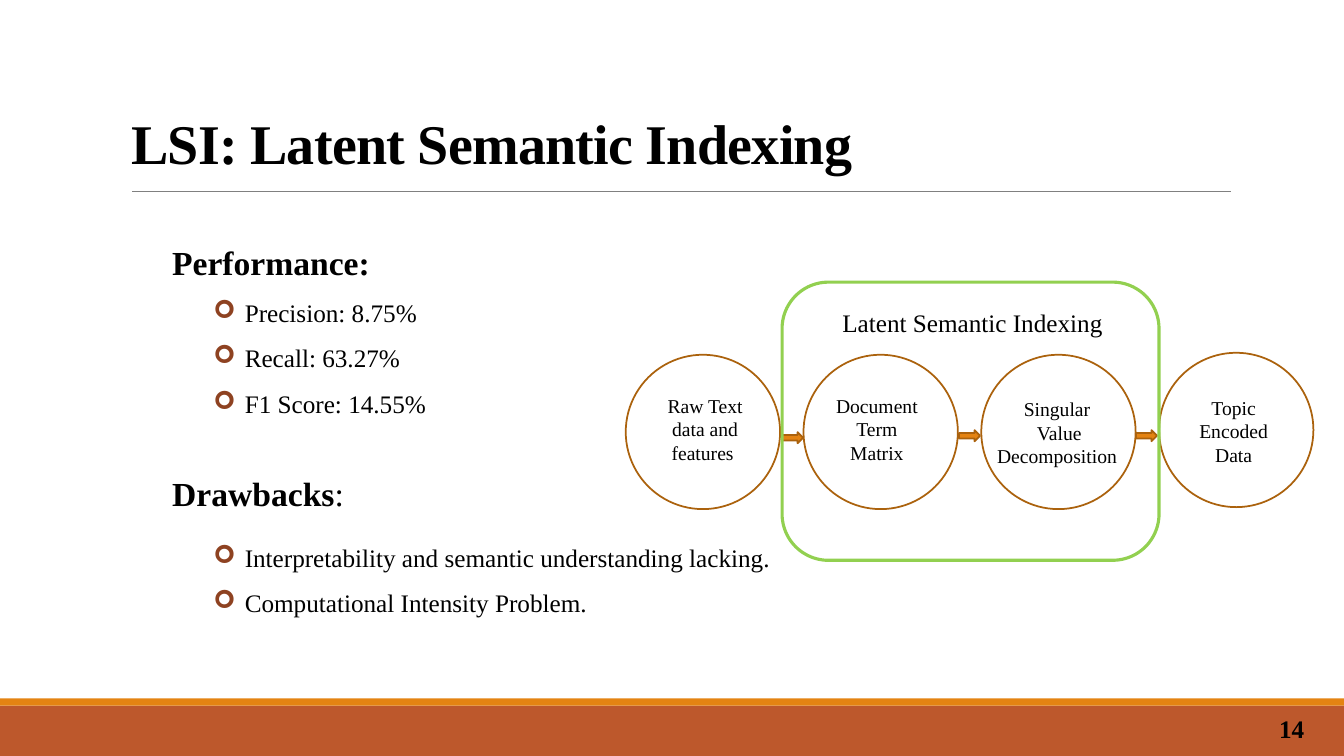
import pptx
import pptx.dml.color
import pptx.enum.shapes
import pptx.enum.text
import pptx.oxml
import pptx.oxml.ns
import pptx.util

Cm = pptx.util.Cm
Pt = pptx.util.Pt
RGBColor = pptx.dml.color.RGBColor
SHAPE = pptx.enum.shapes.MSO_SHAPE
ALIGN = pptx.enum.text.PP_ALIGN
ANCHOR = pptx.enum.text.MSO_ANCHOR

BLACK = RGBColor(0x00, 0x00, 0x00)
RUST = RGBColor(0xBD, 0x58, 0x2C)
ORANGE = RGBColor(0xE4, 0x83, 0x12)
BROWN = RGBColor(0xAB, 0x62, 0x0D)
GREEN = RGBColor(0x92, 0xD0, 0x50)
GREY = RGBColor(0x80, 0x80, 0x80)
BULLET_HEX = "8E4221"
FONT = "Times New Roman"

STEPS = [
    ("Raw Text data and features ", 0.58, 2.69, 2.84),
    ("Document Term Matrix", 0.43, 2.69, 2.84),
    ("Singular\n Value Decomposition", 0.03, 2.77, 3.76),
    ("Topic Encoded Data", 0.46, 2.74, 2.84),
]
SCORES = ["Precision: 8.75%", "Recall: 63.27%", "F1 Score: 14.55%"]
DRAWBACKS = [
    "Interpretability and semantic understanding lacking.",
    "Computational Intensity Problem.",
]


def style_text(frame, size, bold=False, align=ALIGN.LEFT):
    """Give every run in the frame the same font, size and alignment."""
    frame.word_wrap = True
    for paragraph in frame.paragraphs:
        paragraph.alignment = align
        for run in paragraph.runs:
            run.font.name = FONT
            run.font.size = Pt(size)
            run.font.bold = bold
            run.font.color.rgb = BLACK


def add_text(slide, text, left, top, width, height, size, bold=False, align=ALIGN.LEFT):
    """Add a text box, lengths in centimetres, and return its frame."""
    frame = slide.shapes.add_textbox(Cm(left), Cm(top), Cm(width), Cm(height)).text_frame
    frame.text = text
    style_text(frame, size, bold, align)
    return frame


def add_figure(slide, kind, left, top, width, height, fill=None, line=None, weight=1.25):
    """Add a preset shape with an optional fill and outline."""
    figure = slide.shapes.add_shape(kind, Cm(left), Cm(top), Cm(width), Cm(height))
    figure.shadow.inherit = False
    if fill is None:
        figure.fill.background()
    else:
        figure.fill.solid()
        figure.fill.fore_color.rgb = fill
    if line is None:
        figure.line.fill.background()
    else:
        figure.line.color.rgb = line
        figure.line.width = Pt(weight)


def add_footer(slide, left, top, width, height):
    """Draw the bottom band with its stripe and page number."""
    add_figure(slide, SHAPE.RECTANGLE, left, top, width, height, RUST)
    add_figure(slide, SHAPE.RECTANGLE, left, top - 0.18, width, 0.18, ORANGE)
    number = add_text(slide, "14", left + width - 2.27, top + 0.05, 1.52, 1.04, 18, True, ALIGN.RIGHT)
    number.vertical_anchor = ANCHOR.MIDDLE


def add_heading(slide, left, top, width, height):
    """Place the title and the rule beneath it."""
    title = slide.shapes.title
    title.left, title.top, title.width, title.height = Cm(left), Cm(top), Cm(width), Cm(height)
    frame = title.text_frame
    frame.text = "LSI: Latent Semantic Indexing"
    frame.auto_size = pptx.enum.text.MSO_AUTO_SIZE.NONE
    frame.vertical_anchor = ANCHOR.MIDDLE
    style_text(frame, 40, True)
    heading = frame.paragraphs[0]
    heading.line_spacing = 0.85
    heading.runs[0].font._element.set("spc", "-50")
    rule = slide.shapes.add_connector(
        pptx.enum.shapes.MSO_CONNECTOR.STRAIGHT,
        Cm(left + 0.28), Cm(top + 3.13), Cm(left + 27.96), Cm(top + 3.13))
    rule.line.color.rgb = GREY
    rule.line.width = Pt(0.5)
    rule._element.spPr.append(pptx.oxml.parse_xml(
        f'<a:effectLst {pptx.oxml.ns.nsdecls("a")}/>'))


def add_bullets(slide, items, left, top, width, height):
    """Add a list with arrowhead bullets and wide line spacing."""
    frame = add_text(slide, "\n".join(items), left, top, width, height, 18)
    for paragraph in frame.paragraphs:
        paragraph.line_spacing = 1.5
        properties = paragraph._p.get_or_add_pPr()
        properties.set("marL", str(Cm(0.79)))
        properties.set("indent", str(-Cm(0.79)))
        namespace = pptx.oxml.ns.nsdecls("a")
        for bullet in (
            f'<a:buClr {namespace}><a:srgbClr val="{BULLET_HEX}"/></a:buClr>',
            f'<a:buFont {namespace} typeface="Wingdings"/>',
            f'<a:buChar {namespace} char="➢"/>',
        ):
            properties.append(pptx.oxml.parse_xml(bullet))


def add_findings(slide, left, top):
    """Place the performance and drawbacks sections."""
    add_text(slide, "Performance:", left, top, 5.59, 2.31, 24, True)
    add_bullets(slide, SCORES, left + 1.04, top + 1.02, 8.36, 3.71)
    drawbacks = add_text(slide, "Drawbacks", left, top + 5.82, 6.86, 2.31, 24, True)
    drawbacks.paragraphs[0].add_run().text = ":"
    style_text(drawbacks, 24)
    drawbacks.paragraphs[0].runs[0].font.bold = True
    add_bullets(slide, DRAWBACKS, left + 1.04, top + 7.19, 15.11, 2.57)


def add_pipeline(slide, left, top):
    """Draw the four processing steps and the frame around the middle two."""
    pitch, diameter = 4.48, 3.89
    last = len(STEPS) - 1
    for index in range(len(STEPS)):
        circle_top = top + (1.78 if index == last else 1.83)
        add_figure(slide, SHAPE.OVAL, left + index * pitch, circle_top,
                   diameter, diameter, line=BROWN)
    for index, (label, shift, drop, width) in enumerate(STEPS):
        add_text(slide, label, left + index * pitch + shift, top + drop,
                 width, 2.06, 14, align=ALIGN.CENTER)
    for index in range(last):
        arrow_top = top + (3.73 if index else 3.78)
        add_figure(slide, SHAPE.RIGHT_ARROW, left + 3.94 + index * 4.46, arrow_top,
                   0.53, 0.28, ORANGE, BROWN)
    add_figure(slide, SHAPE.ROUNDED_RECTANGLE, left + 3.94, top, 9.5, 7.01, line=GREEN, weight=2.25)
    add_text(slide, "Latent Semantic Indexing", left + 5.21, top + 0.51, 7.09, 1.02, 18)


def main():
    """Build the slide and save it."""
    deck = pptx.Presentation()
    deck.slide_width, deck.slide_height = Cm(33.87), Cm(19.05)
    slide = deck.slides.add_slide(deck.slide_layouts[5])
    add_footer(slide, 0, 17.78, 33.87, 1.27)
    add_heading(slide, 3.05, 1.7, 30.18, 4.04)
    add_pipeline(slide, 15.77, 7.11)
    add_findings(slide, 4.09, 5.97)
    deck.save("out.pptx")


if __name__ == "__main__":
    main()
